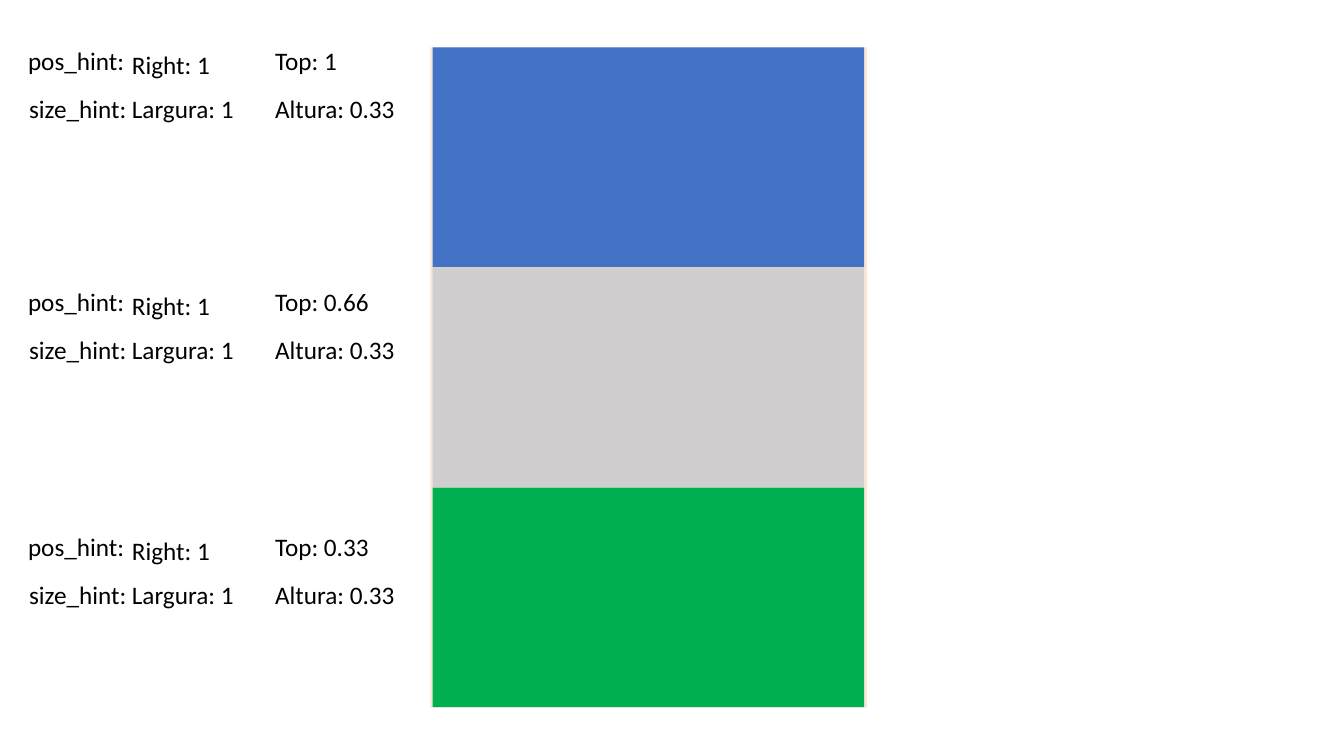
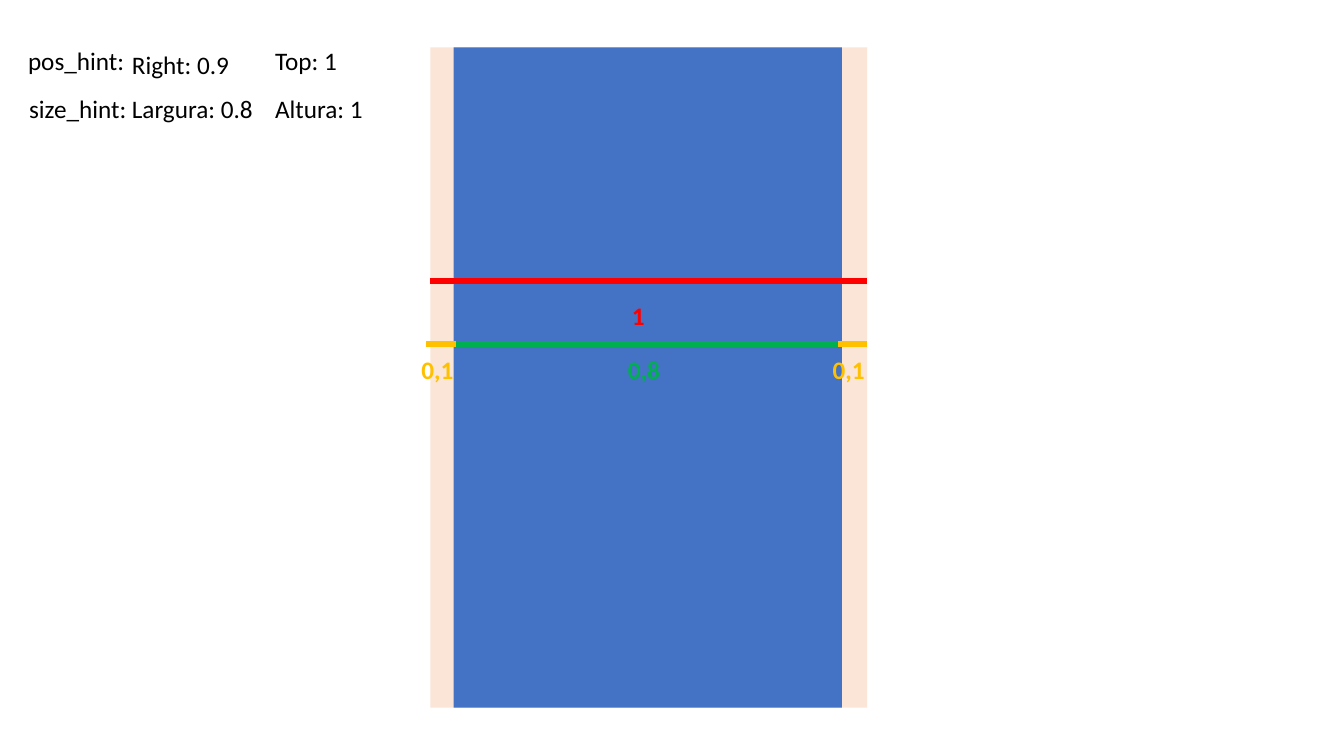
from lxml import etree
from pptx import Presentation
from pptx.dml.color import RGBColor
from pptx.enum.shapes import MSO_CONNECTOR, MSO_SHAPE
from pptx.enum.text import MSO_AUTO_SIZE
from pptx.oxml.ns import qn
from pptx.util import Inches, Pt

RECTANGLE = MSO_SHAPE.RECTANGLE
STRAIGHT = MSO_CONNECTOR.STRAIGHT
FIT_SHAPE = MSO_AUTO_SIZE.SHAPE_TO_FIT_TEXT

BLACK, BLUE, GREY, GREEN = "000000", "4472C4", "D0CECE", "00B050"
PEACH, RED, AMBER = "FBE5D6", "FF0000", "FFC000"

SCREEN_LEFT, SCREEN_TOP, SCREEN_WIDTH, SCREEN_HEIGHT = 4.27, 0.47, 4.33, 6.55
SCREEN_RIGHT = SCREEN_LEFT + SCREEN_WIDTH
TEXT_HEIGHT = 0.4

LABEL_WIDTHS = {
    "pos_hint:": 1.17, "size_hint:": 1.18,
    "Right: 1": 0.99, "Right: 0.9": 1.18,
    "Largura: 1": 1.22, "Largura: 0.8": 1.42,
    "Top: 1": 0.82, "Top: 0.66": 1.14, "Top: 0.33": 1.14,
    "Altura: 1": 1.08, "Altura: 0.33": 1.4,
}


def color(value):
    return RGBColor.from_string(value)


def write(frame, text, size=18, fill=BLACK, bold=False, font="Calibri"):
    span = frame.paragraphs[0].add_run()
    span.text = text
    span.font.name = font
    span.font.size = Pt(size)
    span.font.bold = bold
    span.font.color.rgb = color(fill)


class Painter:
    def __init__(self):
        self.deck = Presentation()
        self.deck.slide_width = Inches(13.33)
        self.deck.slide_height = Inches(7.5)
        self.page = None

    def start_page(self):
        self.page = self.deck.slides.add_slide(self.deck.slide_layouts[6])
        self.block(SCREEN_LEFT, SCREEN_TOP, SCREEN_WIDTH, SCREEN_HEIGHT, PEACH)

    def block(self, left, top, width, height, fill):
        shape = self.page.shapes.add_shape(
            RECTANGLE, Inches(left), Inches(top), Inches(width), Inches(height))
        shape.shadow.inherit = False
        shape.fill.solid()
        shape.fill.fore_color.rgb = color(fill)
        shape.line.fill.background()

    def text(self, text, left, top, width, wrap=False, **style):
        box = self.page.shapes.add_textbox(
            Inches(left), Inches(top), Inches(width), Inches(TEXT_HEIGHT))
        box.text_frame.word_wrap = wrap
        box.text_frame.auto_size = FIT_SHAPE
        write(box.text_frame, text, **style)

    def measure(self, left, right, top, fill):
        line = self.page.shapes.add_connector(
            STRAIGHT, Inches(left), Inches(top), Inches(right), Inches(top))
        line.line.color.rgb = color(fill)
        line.line.width = Pt(4.5)
        etree.SubElement(line._element.spPr, qn("a:effectLst"))

    def hints(self, top, right, edge, width, height):
        size_top = top + 0.48
        labels = [
            ("pos_hint:", 0.18, top),
            (f"Right: {right}", 1.21, top + 0.04),
            (f"Top: {edge}", 2.63, top),
            ("size_hint:", 0.19, size_top),
            (f"Largura: {width}", 1.21, size_top),
            (f"Altura: {height}", 2.63, size_top),
        ]
        for text, left, label_top in labels:
            self.text(text, left, label_top, LABEL_WIDTHS[text])


def build_stacked_bands(painter):
    painter.start_page()
    step = SCREEN_HEIGHT / 3
    bands = [(BLUE, 0.4, "1"), (GREY, 2.79, "0.66"), (GREEN, 5.22, "0.33")]
    for index, (fill, hint_top, edge) in enumerate(bands):
        painter.block(4.29, SCREEN_TOP + index * step, 4.28, 2.18, fill)
        painter.hints(hint_top, "1", edge, "1", "0.33")


def build_centered_column(painter):
    painter.start_page()
    painter.block(4.5, SCREEN_TOP, 3.85, SCREEN_HEIGHT, BLUE)
    painter.hints(0.4, "0.9", "1", "0.8", "1")
    painter.text("1", 6.17, 2.93, 0.33, fill=RED, bold=True)
    painter.measure(SCREEN_LEFT, SCREEN_RIGHT, 2.79, RED)
    parts = [
        ("0,8", 6.13, 4.5, 8.36, GREEN),
        ("0,1", 8.16, 8.31, SCREEN_RIGHT, AMBER),
        ("0,1", 4.08, 4.23, 4.52, AMBER),
    ]
    for text, text_left, left, right, fill in parts:
        painter.text(text, text_left, 3.47, 0.59, wrap=True, fill=fill, bold=True)
        painter.measure(left, right, 3.41, fill)


painter = Painter()
build_stacked_bands(painter)
build_centered_column(painter)
painter.deck.save("out.pptx")
